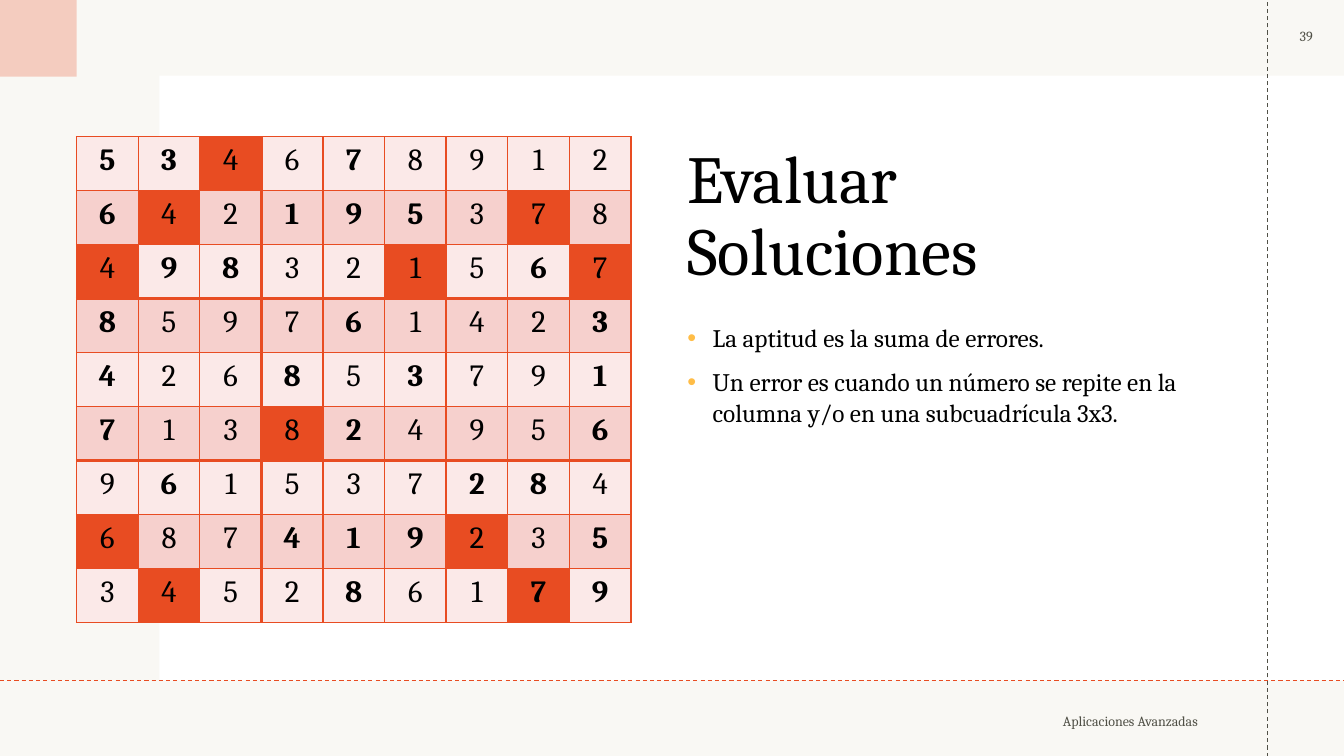
from lxml import etree
from pptx import Presentation
from pptx.dml.color import RGBColor
from pptx.enum.dml import MSO_LINE
from pptx.enum.shapes import MSO_CONNECTOR, MSO_SHAPE
from pptx.enum.text import MSO_ANCHOR, PP_ALIGN
from pptx.oxml.ns import qn
from pptx.util import Pt

RECT = MSO_SHAPE.RECTANGLE
STRAIGHT = MSO_CONNECTOR.STRAIGHT
DASH = MSO_LINE.DASH
TOP, MIDDLE, BOTTOM = MSO_ANCHOR.TOP, MSO_ANCHOR.MIDDLE, MSO_ANCHOR.BOTTOM
LEFT, CENTER, RIGHT = PP_ALIGN.LEFT, PP_ALIGN.CENTER, PP_ALIGN.RIGHT

COLORS = {
    "white": "FFFFFF",
    "beige": "EEECE1",
    "orange": "E84C22",
    "black": "000000",
    "grey": "505046",
    "bullet": "FFBD47",
    "light": "FBE9E8",
    "dark": "F6D0CD",
}

# b = given, x = error
SUDOKU = [
    "5b 3b 4x 6 7b 8 9 1 2",
    "6b 4x 2 1b 9b 5b 3 7x 8",
    "4x 9b 8b 3 2 1x 5 6b 7x",
    "8b 5 9 7 6b 1 4 2 3b",
    "4b 2 6 8b 5 3b 7 9 1b",
    "7b 1 3 8x 2b 4 9 5 6b",
    "9 6b 1 5 3 7 2b 8b 4",
    "6x 8 7 4b 1b 9b 2x 3 5b",
    "3 4x 5 2 8b 6 1 7bx 9b",
]


def set_all(target, values):
    for name, value in values.items():
        setattr(target, name, value)


class SlideBuilder:
    font = "Cambria"

    def __init__(self, s):
        self.s = s

    def color(self, name):
        return RGBColor.from_string(COLORS[name])

    def rect(self, box, fill, alpha=100):
        sp = self.s.shapes.add_shape(RECT, *map(Pt, box))
        sp.shadow.inherit = False
        sp.line.fill.background()
        sp.fill.solid()
        sp.fill.fore_color.rgb = self.color(fill)
        if alpha < 100:
            clr = sp.fill._xPr.find(qn("a:solidFill"))[0]
            etree.SubElement(clr, qn("a:alpha"), val=str(alpha * 1000))

    def run(self, p, text, size, color="black", bold=False):
        r = p.add_run()
        r.text = text
        set_all(r.font, {"name": self.font, "size": Pt(size), "bold": bold})
        r.font.color.rgb = self.color(color)

    def bullet(self, p):
        pPr = p._p.get_or_add_pPr()
        set_all_indents = {"marL": Pt(18), "indent": Pt(-18)}
        for name, value in set_all_indents.items():
            pPr.set(name, str(value))
        clr = etree.SubElement(pPr, qn("a:buClr"))
        etree.SubElement(clr, qn("a:srgbClr"), val=COLORS["bullet"])
        etree.SubElement(pPr, qn("a:buFont"), typeface="Arial")
        etree.SubElement(pPr, qn("a:buChar"), char="•")

    def text(self, box, lines, size, color="black", anchor=TOP, bullets=False, **para):
        tf = self.s.shapes.add_textbox(*map(Pt, box)).text_frame
        set_all(tf, {"word_wrap": True, "vertical_anchor": anchor})
        for i, line in enumerate(lines):
            p = tf.add_paragraph() if i else tf.paragraphs[0]
            set_all(p, para)
            if bullets:
                self.bullet(p)
            self.run(p, line, size, color)

    def dashed(self, ends, color):
        c = self.s.shapes.add_connector(STRAIGHT, *map(Pt, ends))
        set_all(c.line, {"width": Pt(0.75), "dash_style": DASH})
        c.line.color.rgb = self.color(color)
        etree.SubElement(c._element.spPr, qn("a:effectLst"))

    def border(self, cell, side, width):
        tcPr = cell._tc.get_or_add_tcPr()
        ln = etree.SubElement(tcPr, qn(f"a:ln{side}"), w=str(Pt(width)))
        fill = etree.SubElement(ln, qn("a:solidFill"))
        etree.SubElement(fill, qn("a:srgbClr"), val=COLORS["orange"])

    def cell(self, cell, row, col, mark):
        box_edges = {
            "L": col in (3, 6),
            "R": col in (2, 5),
            "T": row in (3, 6),
            "B": row in (2, 5),
        }
        for side, thick in box_edges.items():
            self.border(cell, side, 2.25 if thick else 1)
        band = "dark" if row % 2 else "light"
        cell.fill.solid()
        cell.fill.fore_color.rgb = self.color("orange" if "x" in mark else band)
        set_all(cell, {
            "margin_left": Pt(8.64), "margin_right": Pt(8.64),
            "margin_top": Pt(4.32), "margin_bottom": Pt(4.32),
        })
        p = cell.text_frame.paragraphs[0]
        p.alignment = CENTER
        self.run(p, mark[0], 22, bold="b" in mark)

    def sudoku(self, box, rows):
        n = len(rows)
        table = self.s.shapes.add_table(n, n, *map(Pt, box)).table
        set_all(table, {"first_row": False, "horz_banding": False})
        for column in table.columns:
            column.width = Pt(box[2] / n)
        for i, row in enumerate(rows):
            table.rows[i].height = Pt(box[3] / n)
            for j, mark in enumerate(row.split()):
                self.cell(table.cell(i, j), i, j, mark)


def main():
    prs = Presentation()
    set_all(prs, {"slide_width": Pt(960), "slide_height": Pt(540)})
    b = SlideBuilder(prs.slides.add_slide(prs.slide_layouts[6]))

    b.rect((0, 0, 960, 540), "white")
    b.rect((0, 0, 960, 540), "beige", 35)
    b.rect((0, -0.5, 54.7, 55.2), "orange", 25)
    b.rect((113.8, 54, 846.2, 432), "white")

    b.text((484, 42.5, 379.4, 168.5), ["Evaluar Soluciones"], 48,
           anchor=BOTTOM, line_spacing=0.9, alignment=LEFT)
    b.text((906, -1.4, 54, 54), ["39"], 10, "grey", MIDDLE,
           alignment=CENTER, space_after=Pt(6))
    b.text((484, 226.8, 379.4, 244), [
        "La aptitud es la suma de errores.",
        "Un error es cuando un número se repite en la columna y/o en una subcuadrícula 3x3.",
    ], 18, bullets=True, space_before=Pt(10), alignment=LEFT)
    b.text((296, 489.6, 566.6, 50.4), ["Aplicaciones Avanzadas"], 10, "grey", MIDDLE,
           alignment=RIGHT, space_after=Pt(6))

    b.dashed((905.2, 540.6, 905.2, 0.6), "grey")
    b.dashed((0, 486, 960.4, 486), "orange")
    b.sudoku((54.7, 97.7, 396, 347), SUDOKU)

    prs.save("out.pptx")


if __name__ == "__main__":
    main()
